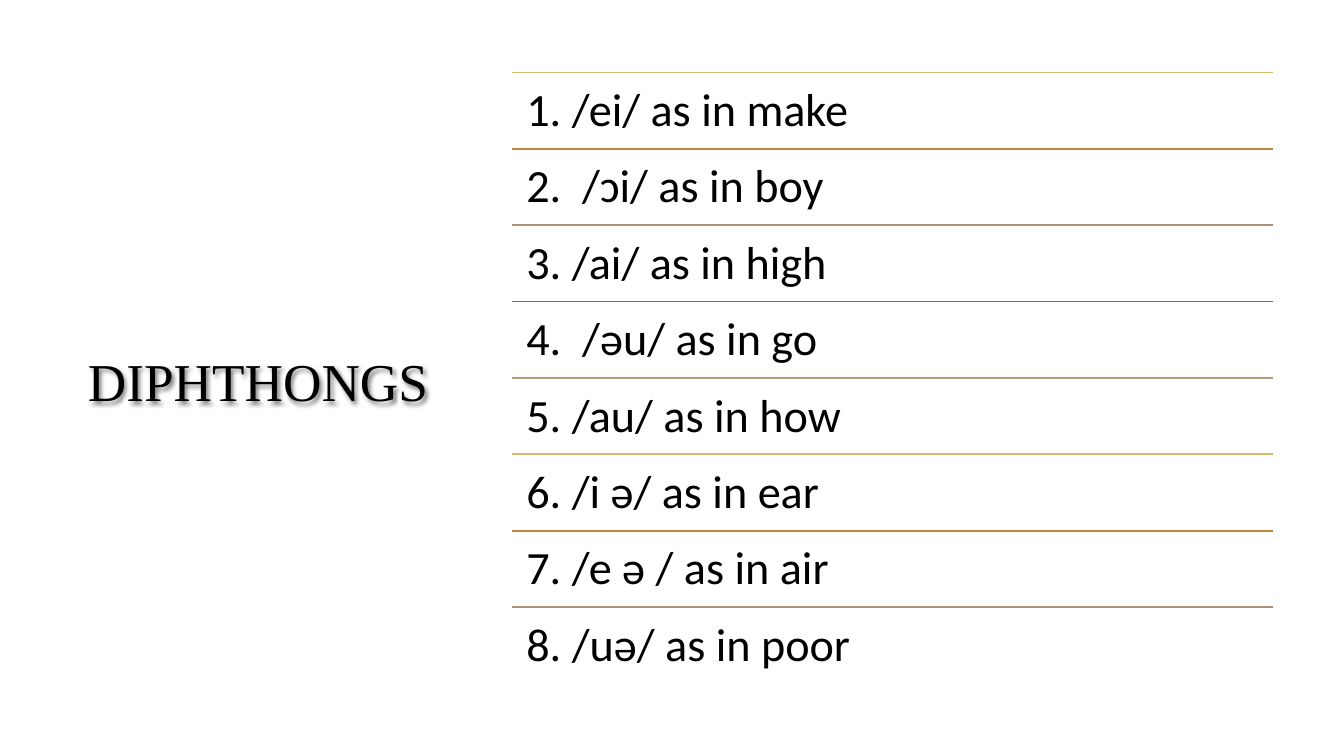
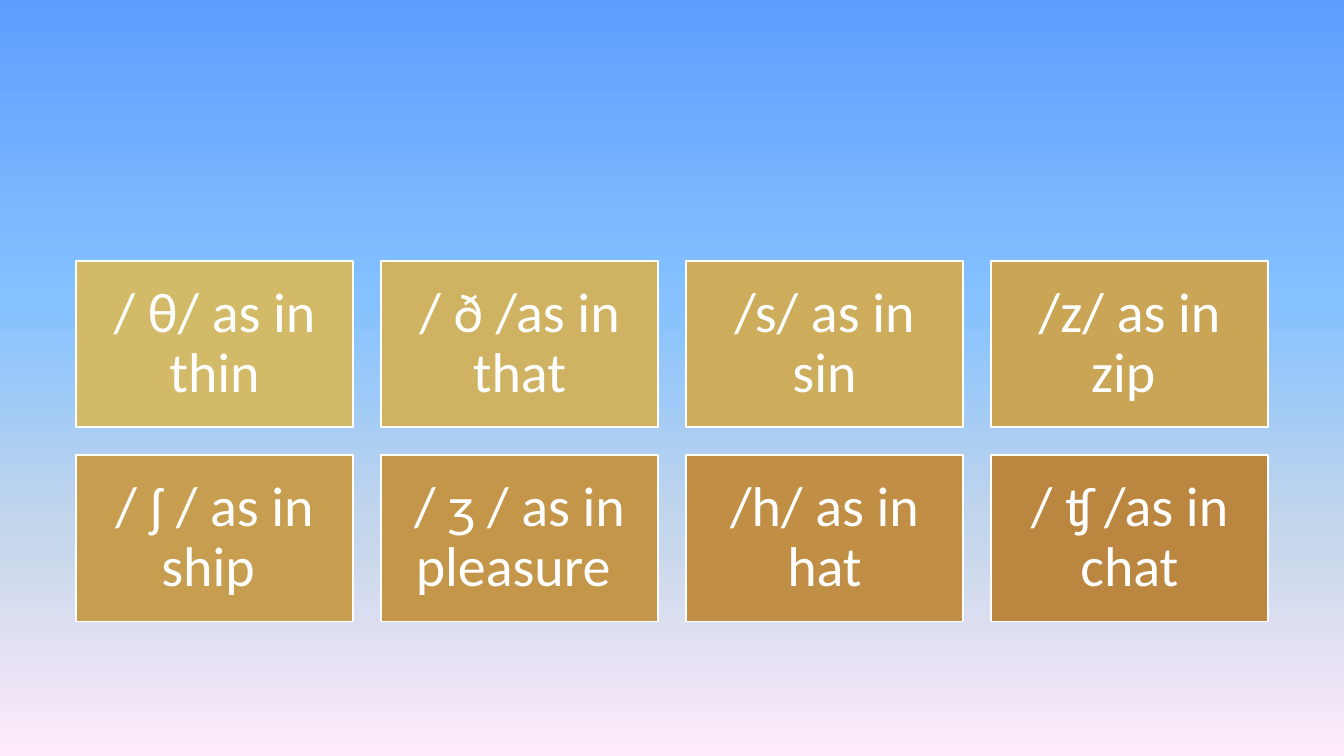
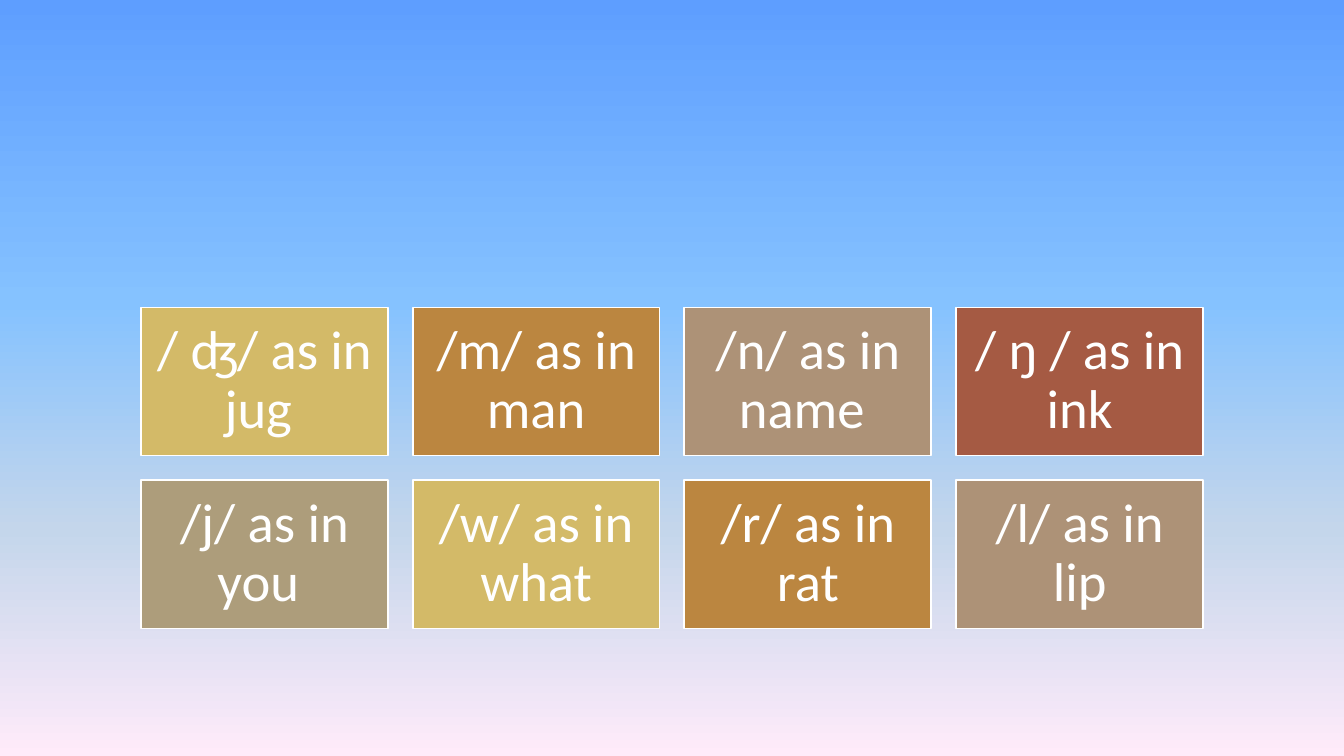
"""Build three slides of English diphthongs and consonants with sample words."""
from dataclasses import dataclass
from itertools import cycle

from lxml.etree import SubElement
from pptx import Presentation
from pptx.dml.color import RGBColor
from pptx.enum.shapes import MSO_CONNECTOR, MSO_SHAPE
from pptx.enum.text import MSO_ANCHOR, PP_ALIGN
from pptx.oxml.ns import qn
from pptx.slide import Slide
from pptx.text.text import TextFrame
from pptx.util import Inches, Pt

WIDTH, HEIGHT = 13.33, 7.5
COLUMNS = 4
GAP_SHARE = 0.1
ASPECT = 0.6
LINE_WIDTH = Pt(1.25)
BODY_FONT, TITLE_FONT = "Calibri", "Times New Roman"

BLACK = RGBColor(0x00, 0x00, 0x00)
WHITE = RGBColor(0xFF, 0xFF, 0xFF)
GOLD = RGBColor(0xD3, 0xBA, 0x68)
OCHRE = RGBColor(0xBB, 0x86, 0x40)
TAUPE = RGBColor(0xAD, 0x92, 0x77)
RUST = RGBColor(0xA5, 0x5A, 0x43)
KHAKI = RGBColor(0xAD, 0x9D, 0x7B)
ACCENTS = (GOLD, OCHRE, TAUPE, RUST, KHAKI)
GOLD_TO_OCHRE = (
    GOLD,
    RGBColor(0xD0, 0xB3, 0x62),
    RGBColor(0xCD, 0xAC, 0x5C),
    RGBColor(0xCA, 0xA5, 0x56),
    RGBColor(0xC7, 0x9E, 0x50),
    RGBColor(0xC4, 0x96, 0x4A),
    RGBColor(0xC0, 0x8E, 0x44),
    OCHRE,
)
SKY = (
    (0, RGBColor(0x5E, 0x9E, 0xFF)),
    (40, RGBColor(0x85, 0xC2, 0xFF)),
    (70, RGBColor(0xC4, 0xD6, 0xEB)),
    (100, RGBColor(0xFF, 0xEB, 0xFA)),
)


@dataclass(frozen=True)
class TextStyle:
    """Look of a one-paragraph text."""

    size: int
    color: RGBColor
    font: str = BODY_FONT
    align: PP_ALIGN = PP_ALIGN.CENTER
    anchor: MSO_ANCHOR = MSO_ANCHOR.MIDDLE
    inset: float = 0.1
    spacing: float = 0.9


@dataclass(frozen=True)
class CardGrid:
    """Cards of equal size, centred across the slide."""

    top: float
    card_width: float
    style: TextStyle
    colors: tuple[RGBColor, ...]
    labels: tuple[str, ...]


TITLE = TextStyle(38, BLACK, font=TITLE_FONT, spacing=1.0)
ROW = TextStyle(33, BLACK, align=PP_ALIGN.LEFT, anchor=MSO_ANCHOR.TOP, inset=0.14)

DIPHTHONGS = (
    "1. /ei/ as in make",
    "2.  /ɔi/ as in boy",
    "3. /ai/ as in high",
    "4.  /əu/ as in go",
    "5. /au/ as in how",
    "6. /i ə/ as in ear",
    "7. /e ə / as in air",
    "8. /uə/ as in poor",
)
CONSONANT_GRIDS = (
    CardGrid(2.59, 2.75, TextStyle(40, WHITE, inset=0.17), GOLD_TO_OCHRE, (
        "/ θ/ as in thin", "/ ð /as in that", "/s/ as in sin", "/z/ as in zip ",
        "/ ʃ / as in ship ", "/ ʒ / as in pleasure ", "/h/ as in hat", "/ ʧ /as in chat",
    )),
    CardGrid(3.05, 2.45, TextStyle(39, WHITE, inset=0.16), ACCENTS, (
        "/ ʤ/ as in jug ", "/m/ as in man", "/n/ as in name ", "/ ŋ / as in ink",
        "/j/ as in you ", "/w/ as in what", "/r/ as in rat", "/l/ as in lip",
    )),
)


def write(tf: TextFrame, text: str, style: TextStyle) -> None:
    """Fill a text frame with one styled paragraph."""
    tf.text = text
    tf.word_wrap = True
    tf.vertical_anchor = style.anchor
    tf.margin_left = tf.margin_right = Inches(style.inset)
    tf.margin_top = tf.margin_bottom = Inches(style.inset)
    p = tf.paragraphs[0]
    p.alignment = style.align
    p.line_spacing = style.spacing
    for r in p.runs:
        r.font.name = style.font
        r.font.size = Pt(style.size)
        r.font.color.rgb = style.color


def add_text(s: Slide, left: float, top: float, width: float, height: float,
             text: str, style: TextStyle):
    """Add a text box and return it."""
    sp = s.shapes.add_textbox(Inches(left), Inches(top), Inches(width), Inches(height))
    write(sp.text_frame, text, style)
    return sp


def add_title(s: Slide, text: str) -> None:
    """Add the side title with its soft text shadow."""
    sp = add_text(s, 0.69, 0.72, 3.74, 6.11, text, TITLE)
    effects = SubElement(sp.element.spPr, qn("a:effectLst"))
    shadow = SubElement(effects, qn("a:outerShdw"), blurRad="38100", dist="25400",
                        dir="2700000", algn="tl", rotWithShape="0")
    color = SubElement(shadow, qn("a:srgbClr"), val=str(BLACK))
    SubElement(color, qn("a:alpha"), val="50000")


def add_rows(s: Slide, rows: tuple[str, ...]) -> None:
    """Stack rows of text, each under a rule in the next accent colour."""
    left, top, width, bottom = 5.08, 0.72, 7.55, 6.78
    height = (bottom - top) / len(rows)
    for i, (text, color) in enumerate(zip(rows, cycle(ACCENTS))):
        y = top + i * height
        rule = s.shapes.add_connector(MSO_CONNECTOR.STRAIGHT, Inches(left), Inches(y),
                                      Inches(left + width), Inches(y))
        rule.line.color.rgb = color
        rule.line.width = LINE_WIDTH
        SubElement(rule.element.spPr, qn("a:effectLst"))
        add_text(s, left, y, width, height, text, ROW)


def set_sky(s: Slide) -> None:
    """Give the slide the vertical sky gradient."""
    fill = s.background.fill
    fill.gradient()
    fill.gradient_angle = 270
    stops = next(s.element.iter(qn("a:gsLst")))
    for stop in list(stops):
        stops.remove(stop)
    for percent, color in SKY:
        stop = SubElement(stops, qn("a:gs"), pos=str(percent * 1000))
        SubElement(stop, qn("a:srgbClr"), val=str(color))


def add_cards(s: Slide, grid: CardGrid) -> None:
    """Draw the cards of a grid row by row."""
    width = grid.card_width
    height = width * ASPECT
    gap = width * GAP_SHARE
    left = (WIDTH - COLUMNS * width - (COLUMNS - 1) * gap) / 2
    for i, (label, color) in enumerate(zip(grid.labels, cycle(grid.colors))):
        row, column = divmod(i, COLUMNS)
        sp = s.shapes.add_shape(
            MSO_SHAPE.RECTANGLE,
            Inches(left + column * (width + gap)), Inches(grid.top + row * (height + gap)),
            Inches(width), Inches(height))
        sp.shadow.inherit = False
        sp.fill.solid()
        sp.fill.fore_color.rgb = color
        sp.line.color.rgb = WHITE
        sp.line.width = LINE_WIDTH
        write(sp.text_frame, label, grid.style)


def main() -> None:
    """Build and save the presentation."""
    prs = Presentation()
    prs.slide_width, prs.slide_height = Inches(WIDTH), Inches(HEIGHT)
    blank = prs.slide_layouts[6]

    s = prs.slides.add_slide(blank)
    add_title(s, "DIPHTHONGS")
    add_rows(s, DIPHTHONGS)

    for grid in CONSONANT_GRIDS:
        s = prs.slides.add_slide(blank)
        set_sky(s)
        add_cards(s, grid)

    prs.save("out.pptx")


if __name__ == "__main__":
    main()
